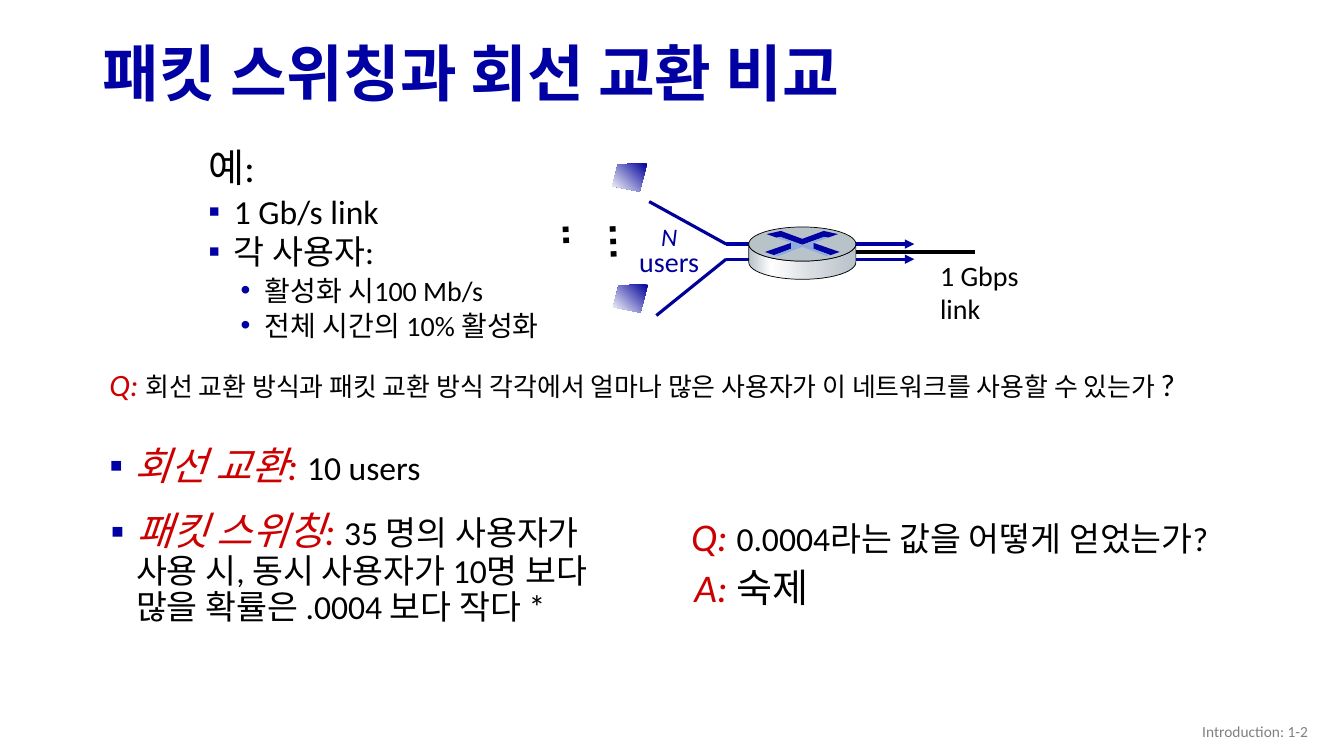
import copy
import math
from dataclasses import dataclass

from lxml import etree
from pptx import Presentation
from pptx import util as u
from pptx.dml.color import RGBColor
from pptx.enum import shapes, text
from pptx.oxml.ns import qn


@dataclass(frozen=True)
class Theme:
    font: str = "Calibri"
    dots_font: str = "Arial"
    navy: str = "0000A3"
    line: str = "000099"
    red: str = "CC0000"
    black: str = "000000"
    gray: str = "808080"
    metal: str = "B8C2C9"
    light_blue: str = "8FAADC"
    title: float = 44
    large: float = 28
    medium: float = 24
    question: float = 22.2
    small: float = 20
    note: float = 18.5
    label: float = 18
    footer: float = 11


theme = Theme()

# A paragraph is a list of spans: (text, size, colour, italic).
TITLE = [[("패킷 스위칭과 회선 교환 비교", theme.title, theme.navy, False)]]
EXAMPLE = [
    ("예:", theme.large, None),
    ("1 Gb/s link", theme.medium, "▪"),
    ("각 사용자:", theme.medium, "▪"),
    ("활성화 시100 Mb/s", theme.small, "•"),
    ("전체 시간의 10% 활성화", theme.small, "•"),
]
QUESTION = [[
    ("Q: ", theme.question, theme.red, True),
    ("회선 교환 방식과 패킷 교환 방식 각각에서 얼마나 많은 사용자가 이 네트워크를 사용할 수 있는가 ",
     theme.note, theme.black, False),
    ("?", theme.question, theme.black, False),
]]
CIRCUIT = [[("회선 교환: ", theme.large, theme.red, True),
            ("10 users", theme.medium, theme.black, False)]]
PACKET = [[("패킷 스위칭: ", theme.large, theme.red, True),
           ("35 명의 사용자가 사용 시, 동시 사용자가 10명 보다 많을 확률은 .0004 보다 작다 *",
            theme.medium, theme.black, False)]]
HOW = [[("Q: ", theme.large, theme.red, True),
        ("0.0004라는 값을 어떻게 얻었는가?", theme.medium, theme.black, False)]]
ANSWER = [[("A: ", theme.large, theme.red, True),
           ("숙제", theme.large, theme.black, False)]]
USERS = [[("N", theme.label, theme.line, True)],
         [("users", theme.small, theme.line, False)]]
LINK = [[("1 Gbps link", theme.small, theme.black, False)]]
DOTS = [[("…..", theme.large, theme.black, False)]]
FOOTER = [[("Introduction: 1-2", theme.footer, theme.gray, False)]]

# Lines: start, end (cm), colour, width (pt), arrowhead
WIRES = [
    ((16.36, 5.08), (18.3, 6.15), theme.line, 2.25, False),
    ((18.3, 6.15), (23.04, 6.15), theme.navy, 2.25, True),
    ((18.3, 6.53), (23.04, 6.53), theme.navy, 2.25, True),
    ((16.54, 7.95), (18.3, 6.53), theme.line, 2.25, False),
    ((21.29, 6.35), (24.56, 6.35), theme.black, 3.5, False),
]
SCREEN = [(0.88, 0), (0.14, 0.02), (0, 0.57), (0.69, 0.71)]
SCREEN_PLACES = [(15.43, 4.12), (15.45, 7.17)]

# Router: centre and radii of its top, depth, and right halves of its symbol
CENTER_X, TOP_Y = 20.22, 6.15
RADIUS_X, RADIUS_Y, DEPTH = 1.35, 0.43, 0.46
BARREL_STOPS = [(0, theme.metal), (0.21, "FFFFFF"), (0.6, "D6DCE0"), (1, theme.metal)]
UPPER_ARROWS = [(0, 6.02), (0.54, 5.82), (0.9, 5.9), (0.64, 5.99), (0.55, 5.97), (0, 6.17)]
LOWER_ARROW = [(0.28, 6.12), (0.94, 6.35), (0.71, 6.43), (0.28, 6.27)]
CROSS = [(0, 6.17), (0.55, 5.97), (0.65, 5.99), (0.28, 6.12),
         (0.28, 6.27), (0.71, 6.43), (0.6, 6.45), (0, 6.22)]


def color(value):
    return RGBColor.from_string(value)


def place(box, left, top, width, height):
    box.left, box.top, box.width, box.height = map(u.Cm, (left, top, width, height))


def set_indent(para, margin, hanging, bullet=None):
    """Set a hanging indent in cm and the bullet, or switch the bullet off."""
    props = para._p.get_or_add_pPr()
    props.set("marL", str(u.Cm(margin)))
    props.set("indent", str(-u.Cm(hanging)))
    if not bullet:
        etree.SubElement(props, qn("a:buNone"))
        return
    tint = etree.SubElement(props, qn("a:buClr"))
    etree.SubElement(tint, qn("a:srgbClr")).set("val", theme.navy)
    etree.SubElement(props, qn("a:buFont")).set("typeface", "Arial")
    etree.SubElement(props, qn("a:buChar")).set("char", bullet)


def fill_text(box, paragraphs, spacing=None, align=text.PP_ALIGN.LEFT, wrap=True,
              anchor=text.MSO_ANCHOR.TOP, font=theme.font, bold=False, indents=None):
    frame = box.text_frame
    frame.auto_size = text.MSO_AUTO_SIZE.NONE
    frame.word_wrap, frame.vertical_anchor = wrap, anchor
    for index, spans in enumerate(paragraphs):
        para = frame.add_paragraph() if index else frame.paragraphs[0]
        if indents:
            set_indent(para, *indents[index])
        para.alignment, para.line_spacing = align, spacing
        para.space_before = u.Pt(6 if index and indents else 0)
        for words, size, tint, italic in spans:
            span = para.add_run()
            span.text = words
            span.font.name, span.font.size = font, u.Pt(size)
            span.font.bold, span.font.italic = bold, italic
            span.font.color.rgb = color(tint)


def add_text(page, area, paragraphs, **style):
    box = page.shapes.add_textbox(*map(u.Cm, area))
    fill_text(box, paragraphs, **style)
    return box


def add_wire(page, start, end, tint, width, arrow):
    wire = page.shapes.add_connector(shapes.MSO_CONNECTOR.STRAIGHT,
                                     *map(u.Cm, start + end))
    wire.line.color.rgb, wire.line.width = color(tint), u.Pt(width)
    if arrow:
        etree.SubElement(wire.line._get_or_add_ln(), qn("a:tailEnd")).set("type", "triangle")
    etree.SubElement(wire._element.spPr, qn("a:effectLst"))


def paint(shape, tint=None, stops=None, angle=0, outlined=False):
    shape.shadow.inherit = False
    if stops:
        shape.fill.gradient()
        shape.fill.gradient_angle = angle
        stop_list = shape.fill._fill._gradFill.gsLst
        for _ in stops[2:]:
            stop_list.append(copy.deepcopy(stop_list[0]))
        for stop, (position, shade) in zip(shape.fill.gradient_stops, stops):
            stop.position, stop.color.rgb = position, color(shade)
    else:
        shape.fill.solid()
        shape.fill.fore_color.rgb = color(tint)
    if outlined:
        shape.line.color.rgb, shape.line.width = color(theme.black), u.Pt(0.5)
    else:
        shape.line.fill.background()


def add_outline(page, points, **style):
    first, *rest = [(u.Cm(x), u.Cm(y)) for x, y in points]
    builder = page.shapes.build_freeform(*first)
    builder.add_line_segments(rest, close=True)
    paint(builder.convert_to_shape(), **style)


def side(half, sign):
    return [(CENTER_X + sign * x, y) for x, y in half]


def both_sides(half):
    return side(half, 1) + side(half, -1)[::-1]


def add_router(page):
    rim = [(CENTER_X + RADIUS_X * math.cos(a), TOP_Y + RADIUS_Y * math.sin(a))
           for a in (math.pi * step / 24 for step in range(25))]
    base = [(x, y + DEPTH) for x, y in reversed(rim)]
    add_outline(page, rim + base, stops=BARREL_STOPS, outlined=True)
    top = page.shapes.add_shape(
        shapes.MSO_SHAPE.OVAL, u.Cm(CENTER_X - RADIUS_X), u.Cm(TOP_Y - RADIUS_Y),
        u.Cm(2 * RADIUS_X), u.Cm(2 * RADIUS_Y))
    paint(top, theme.metal, outlined=True)
    add_outline(page, both_sides(UPPER_ARROWS), tint=theme.navy)
    for sign in (1, -1):
        add_outline(page, side(LOWER_ARROW, sign), tint=theme.navy)
    add_outline(page, both_sides(CROSS), tint=theme.light_blue)


def main():
    deck = Presentation()
    deck.slide_width, deck.slide_height = u.Cm(33.87), u.Cm(19.05)
    page = deck.slides.add_slide(deck.slide_layouts[1])
    middle = text.MSO_ANCHOR.MIDDLE

    title, body = page.shapes.title, page.placeholders[1]
    place(title, 2.34, 0.69, 29.21, 2.49)
    fill_text(title, TITLE, spacing=0.9, anchor=middle, bold=True)
    place(body, 5, 3.71, 13.72, 5.38)
    fill_text(body, [[(words, size, theme.black, False)] for words, size, _ in EXAMPLE],
              spacing=0.8,
              indents=[(1.42, 0.61, mark) if mark == "•" else (0.64, 0.64, mark)
                       for _, _, mark in EXAMPLE])

    add_text(page, (2.13, 9.19, 30.78, 1.7), QUESTION, spacing=0.9, indents=[(0.99, 0.61)])
    for wire in WIRES:
        add_wire(page, *wire)
    add_text(page, (15.85, 5.59, 2.03, 1.57), USERS, spacing=0.8,
             align=text.PP_ALIGN.CENTER, wrap=False)
    add_text(page, (23.44, 6.38, 3.1, 1.98), LINK)
    dots = add_text(page, (15.04, 5.59, 1.7, 1.22), DOTS, font=theme.dots_font, bold=True)
    dots.rotation = 87.9
    for left, top in SCREEN_PLACES:
        add_outline(page, [(left + x, top + y) for x, y in SCREEN],
                    stops=[(0, theme.line), (1, "FFFFFF")], angle=225)
    add_router(page)

    bullet = [(0.64, 0.64, "▪")]
    add_text(page, (2.51, 11.13, 13.72, 1.55), CIRCUIT, spacing=0.9, indents=bullet)
    add_text(page, (2.54, 12.78, 13.72, 4.9), PACKET, spacing=0.9, indents=bullet)
    add_text(page, (17.17, 12.78, 15.5, 1.45), HOW)
    add_text(page, (17.25, 14.07, 13.16, 1.45), ANSWER)
    add_text(page, (25.6, 17.91, 7.62, 1.02), FOOTER, anchor=middle,
             align=text.PP_ALIGN.RIGHT)
    deck.save("out.pptx")


if __name__ == "__main__":
    main()
